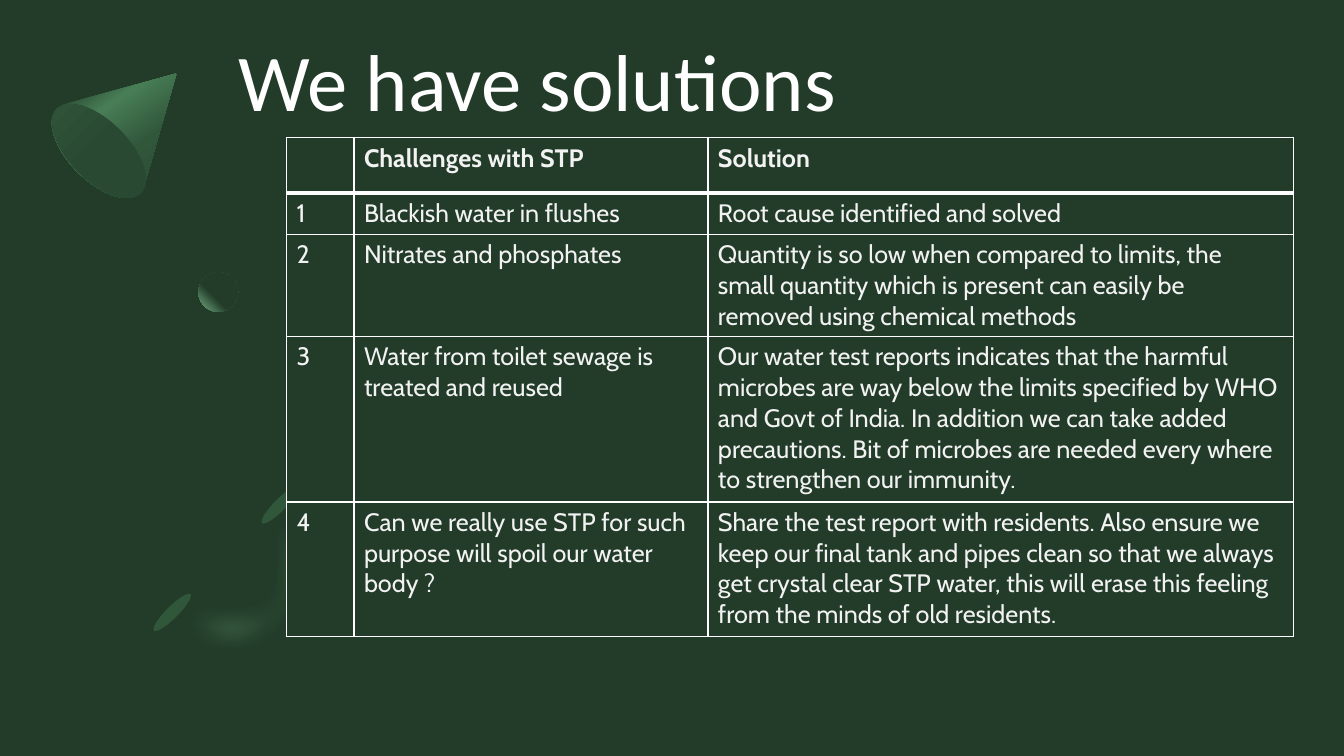
import math
from lxml import etree
from pptx import Presentation
from pptx import util as u
from pptx.dml import color
from pptx.enum import shapes, text
from pptx.oxml import parse_xml
from pptx.oxml.ns import qn

NS = 'xmlns:a="http://schemas.openxmlformats.org/drawingml/2006/main"'
DARK, LEAF, MINT, WHITE = "223C29", "31573B", "7AB48A", "FFFFFF"

CONE = [(4.45, 1.85), (3.63, 4.7), (3.63, 4.72),
        (3.61, 4.78, 3.58, 4.83, 3.56, 4.85),
        (3.25, 5.16, 2.54, 4.93, 1.96, 4.34),
        (1.37, 3.76, 1.14, 3.02, 1.42, 2.74),
        (1.45, 2.72, 1.5, 2.67, 1.55, 2.67), (1.57, 2.64)]
ARC = [(7.52, 15.9), (8.53, 14.91, 8.53, 13.26, 7.52, 12.27), (6.63, 13.18),
       (7.11, 13.67, 7.11, 14.48, 6.63, 14.99),
       (6.12, 15.49, 5.31, 15.49, 4.8, 14.99), (3.89, 15.9),
       (4.9, 16.92, 6.53, 16.92, 7.52, 15.9)]
GLOW = [(7.57, 15.9), (8.56, 14.91, 8.41, 13.13, 7.24, 11.94), (6.32, 12.85),
        (6.91, 13.44, 6.99, 14.33, 6.48, 14.83),
        (5.99, 15.34, 5.11, 15.27, 4.5, 14.68), (3.58, 15.6),
        (4.78, 16.76, 6.55, 16.92, 7.57, 15.9)]

ROWS = [
    ("", "Challenges with STP", "Solution"),
    ("1", "Blackish water in flushes", "Root cause identified and solved"),
    ("2", "Nitrates and phosphates",
     "Quantity is so low when compared to limits, the small quantity which is "
     "present can easily be removed using chemical methods"),
    ("3", "Water from toilet sewage is treated and reused",
     "Our water test reports indicates that the harmful microbes are way below "
     "the limits specified by WHO and Govt of India. In addition we can take "
     "added precautions. Bit of microbes are needed every where to strengthen "
     "our immunity."),
    ("4", "Can we really use STP for such purpose will spoil our water body ?",
     "Share the test report with residents. Also ensure we keep our final tank "
     "and pipes clean so that we always get crystal clear STP water, this will "
     "erase this feeling from the minds of old residents."),
]


def tint(code):
    return color.RGBColor.from_string(code)


def paint(fill, code):
    fill.solid()
    fill.fore_color.rgb = tint(code)


def style(obj, form):
    for key, val in form.items():
        setattr(obj, key, val)


def place(shape, box):
    style(shape, dict(zip(("left", "top", "width", "height"), map(u.Cm, box))))


def write(frame, words, form, code):
    frame.text = words
    font = frame.paragraphs[0].runs[0].font
    style(font, form)
    font.color.rgb = tint(code)


def plain(shape, code=None):
    shape.shadow.inherit = False
    shape.line.fill.background()
    if code:
        paint(shape.fill, code)


def blend(shape, stops, kind):
    marks = "".join(f'<a:gs pos="{pos * 1000}"><a:srgbClr val="{code}"/></a:gs>'
                    for pos, code in stops)
    shape._element.spPr.insert(2, parse_xml(
        f'<a:gradFill {NS} rotWithShape="1"><a:gsLst>{marks}</a:gsLst>{kind}</a:gradFill>'))


def linear(angle):
    return f'<a:lin ang="{angle * 60000}" scaled="0"/>'


def outline(slide, segs, box, angle):
    left, top, wide, high = box
    cos, sin = math.cos(math.radians(angle)), math.sin(math.radians(angle))

    def local(x, y):
        dx, dy = x - left - wide / 2, y - top - high / 2
        return u.Cm(wide / 2 + dx * cos + dy * sin), u.Cm(high / 2 - dx * sin + dy * cos)

    knots = [[local(*seg[i:i + 2]) for i in range(0, len(seg), 2)] for seg in segs]
    pen = slide.shapes.build_freeform(*knots[0][0])
    pen.add_line_segments([knot[-1] for knot in knots[1:]], close=True)
    shape = pen.convert_to_shape()
    place(shape, box)
    shape.rotation = angle
    track = next(shape._element.iter(qn("a:path")))
    style(track, {"w": u.Cm(wide), "h": u.Cm(high)})
    for item in list(track):
        track.remove(item)
    for num, knot in enumerate(knots):
        tag = "moveTo" if num == 0 else "cubicBezTo" if len(knot) == 3 else "lnTo"
        item = etree.SubElement(track, qn(f"a:{tag}"))
        for x, y in knot:
            etree.SubElement(item, qn("a:pt"), x=str(int(x)), y=str(int(y)))
    etree.SubElement(track, qn("a:close"))
    return shape


def oval(slide, box, angle=0):
    shape = slide.shapes.add_shape(shapes.MSO_SHAPE.OVAL, *map(u.Cm, box))
    shape.rotation = angle
    return shape


def cone(slide):
    side = outline(slide, CONE, (1.7, 1.35, 3, 3.5), 45)
    plain(side)
    blend(side, [(30, LEAF), (40, "487E56"), (60, LEAF), (100, DARK)], linear(10))
    base = oval(slide, (1.75, 2.31, 1.5, 3), 135)
    plain(base)
    blend(base, [(50, "2A4932"), (100, LEAF)], linear(90))


def ball(slide, box):
    disc = oval(slide, box)
    plain(disc)
    blend(disc, [(60, DARK), (100, MINT)],
          '<a:path path="circle"><a:fillToRect l="100000" b="100000"/></a:path>')


def ring(slide):
    plain(outline(slide, ARC, (4.04, 13.72, 5.16, 2.57), 315), DARK)
    glow = outline(slide, GLOW, (3.91, 13.31, 5.16, 3.05), 315)
    plain(glow, MINT)
    props = glow._element.spPr
    hue = props.find(qn("a:solidFill")).find(qn("a:srgbClr"))
    etree.SubElement(hue, qn("a:alpha"), val="40000")
    etree.SubElement(props.find(qn("a:effectLst")), qn("a:softEdge"), rad="190500")
    for left, top in ((6.91, 12.07), (4.19, 14.78)):
        plain(oval(slide, (left, top, 0.3, 1.3), 225), LEAF)


def title(slide, box):
    head = slide.shapes.title
    place(head, box)
    frame = head.text_frame
    write(frame, "We have solutions", {"name": "Calibri", "size": u.Pt(57.6)}, WHITE)
    style(frame, {"margin_left": 0, "margin_top": 0, "margin_right": 0,
                  "margin_bottom": 0, "word_wrap": True,
                  "auto_size": text.MSO_AUTO_SIZE.NONE,
                  "vertical_anchor": text.MSO_ANCHOR.TOP})
    frame.paragraphs[0].alignment = text.PP_ALIGN.LEFT


def border(cell, sides):
    props = cell._tc.get_or_add_tcPr()
    for spot, (side, pts) in enumerate(sides.items()):
        props.insert(spot, parse_xml(
            f'<a:ln{side} {NS} w="{u.Pt(pts)}"><a:solidFill><a:srgbClr val="{WHITE}"/>'
            f'</a:solidFill></a:ln{side}>'))


def grid(slide, left, top, wide, high):
    table = slide.shapes.add_table(
        len(high), len(wide), *map(u.Cm, (left, top, sum(wide), sum(high)))).table
    style(table, {"first_row": False, "horz_banding": False})
    for col, size in zip(table.columns, wide):
        col.width = u.Cm(size)
    for num, (row, size, words) in enumerate(zip(table.rows, high, ROWS)):
        row.height = u.Cm(size)
        for cell, word in zip(row.cells, words):
            paint(cell.fill, DARK)
            border(cell, {"L": 1, "R": 1, "T": 3 if num == 1 else 1, "B": 1 if num else 3})
            if word:
                write(cell.text_frame, word,
                      {"name": "Cabin", "size": u.Pt(18), "bold": num == 0}, "F2F2F2")


def main():
    deck = Presentation()
    style(deck, {"slide_width": u.Cm(33.87), "slide_height": u.Cm(19.05)})
    slide = deck.slides.add_slide(deck.slide_layouts[5])
    paint(slide.background.fill, DARK)
    cone(slide)
    ball(slide, (5, 6.86, 1, 1))
    ring(slide)
    title(slide, (6.02, 0.79, 23.01, 2.67))
    grid(slide, 7.22, 3.47, (1.7, 8.92, 14.76), (1.4, 1, 2.57, 4.17, 3.4))
    deck.save("out.pptx")


if __name__ == "__main__":
    main()
